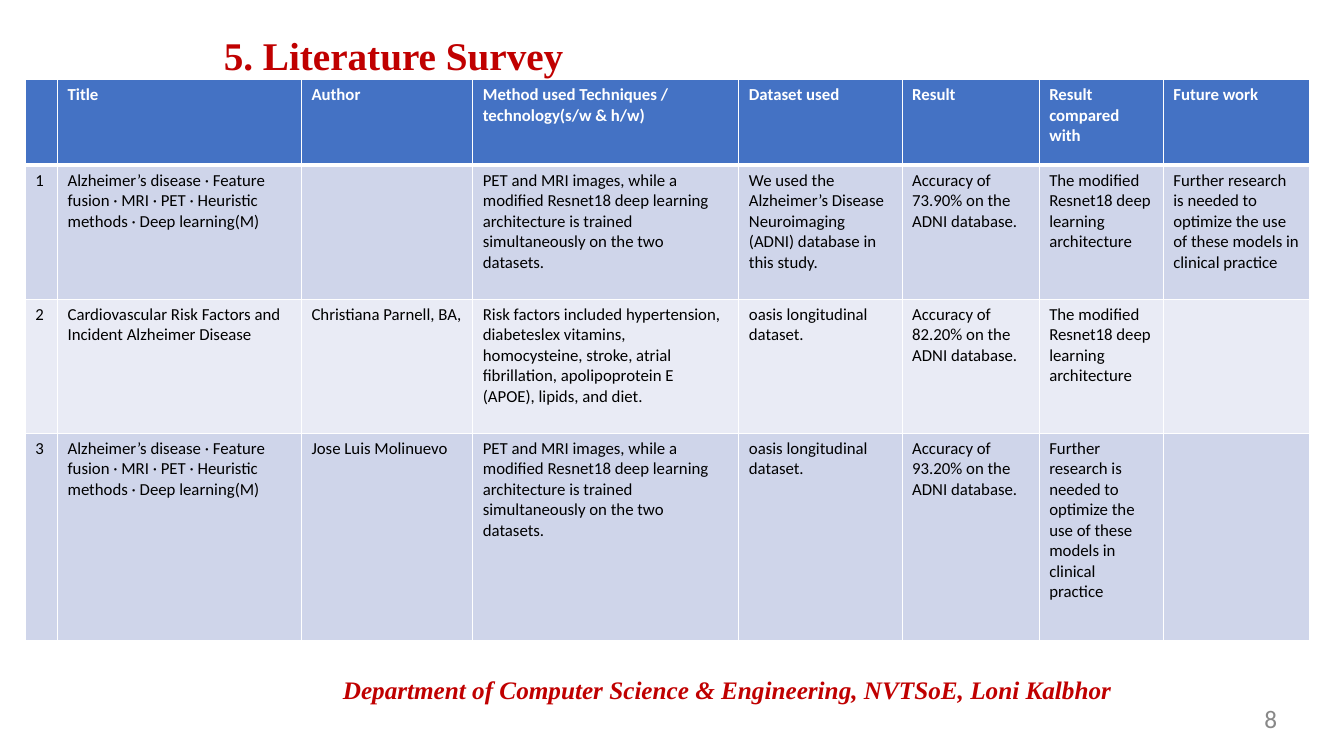
import pptx
import pptx.dml.color
import pptx.enum.text
import pptx.oxml
import pptx.oxml.ns
import pptx.util

RGBColor = pptx.dml.color.RGBColor
Align = pptx.enum.text.PP_ALIGN
Anchor = pptx.enum.text.MSO_ANCHOR

CRIMSON = RGBColor(0xC0, 0x00, 0x00)
GREY = RGBColor(0x88, 0x88, 0x88)
WHITE = RGBColor(0xFF, 0xFF, 0xFF)
BLACK = RGBColor(0x00, 0x00, 0x00)
HEADER_BLUE = RGBColor(0x44, 0x72, 0xC4)
BAND_DARK = RGBColor(0xCF, 0xD5, 0xEA)
BAND_LIGHT = RGBColor(0xE9, 0xEB, 0xF5)

COLUMN_SHARES = [2.4, 18.15, 12.75, 19.8, 12.15, 10.2, 9.23, 10.88]
ROW_SHARES = [11.33, 17.73, 17.73, 27.47]

KEYWORDS = "Alzheimer’s disease · Feature fusion · MRI · PET · Heuristic methods · Deep learning(M)"
IMAGING_METHOD = (
    "PET and MRI images, while a modified Resnet18 deep learning architecture "
    "is trained simultaneously on the two datasets."
)
RISK_METHOD = (
    "Risk factors included hypertension, diabeteslex vitamins, homocysteine, stroke, "
    "atrial fibrillation, apolipoprotein E (APOE), lipids, and diet."
)
ADNI_DATASET = "We used the Alzheimer’s Disease Neuroimaging (ADNI) database in this study."
OASIS_DATASET = "oasis longitudinal dataset."
RESNET = "The modified Resnet18 deep learning architecture"
FURTHER_RESEARCH = (
    "Further research is needed to optimize the use of these models in clinical practice"
)
HEADINGS = [
    "", "Title", "Author", "Method used Techniques / technology(s/w & h/w)",
    "Dataset used", "Result", "Result compared with", "Future work",
]
STUDIES = [
    [KEYWORDS, "", IMAGING_METHOD, ADNI_DATASET, "73.90%", RESNET, FURTHER_RESEARCH],
    ["Cardiovascular Risk Factors and Incident Alzheimer Disease", "Christiana Parnell, BA,",
     RISK_METHOD, OASIS_DATASET, "82.20%", RESNET, ""],
    [KEYWORDS, "Jose Luis Molinuevo", IMAGING_METHOD, OASIS_DATASET, "93.20%",
     FURTHER_RESEARCH, ""],
]


class SurveySlide:
    serif = "Times New Roman"
    sans = "Calibri"

    def __init__(self, deck):
        self.deck = deck
        self.slide = deck.slides.add_slide(deck.slide_layouts[5])

    def across(self, share):
        return round(self.deck.slide_width * share / 100)

    def down(self, share):
        return round(self.deck.slide_height * share / 100)

    def area(self, left, top, width, height):
        return self.across(left), self.down(top), self.across(width), self.down(height)

    def add_words(self, paragraph, words, font, size, color, bold=False, italic=False):
        run = paragraph.add_run()
        run.text = words
        run.font.name = font
        run.font.size = pptx.util.Pt(size)
        run.font.color.rgb = color
        run.font.bold = bold
        run.font.italic = italic

    def title(self, words, *shares):
        heading = self.slide.shapes.title
        heading.left, heading.top, heading.width, heading.height = self.area(*shares)
        frame = heading.text_frame
        frame.auto_size = pptx.enum.text.MSO_AUTO_SIZE.NONE
        frame.vertical_anchor = Anchor.MIDDLE
        frame.paragraphs[0].alignment = Align.LEFT
        self.add_words(frame.paragraphs[0], words, self.serif, 28, CRIMSON, bold=True)

    def label(self, words, shares, align, font, color, emphasis=False):
        frame = self.slide.shapes.add_textbox(*self.area(*shares)).text_frame
        frame.word_wrap = True
        frame.margin_left = frame.margin_right = frame.margin_top = frame.margin_bottom = 0
        frame.paragraphs[0].alignment = align
        self.add_words(frame.paragraphs[0], words, font, 18, color, emphasis, emphasis)

    def borders(self, cell, widths):
        properties = cell._tc.get_or_add_tcPr()
        for position, (side, points) in enumerate(widths.items()):
            line = pptx.oxml.parse_xml(
                f'<a:ln{side} {pptx.oxml.ns.nsdecls("a")} w="{pptx.util.Pt(points)}">'
                f'<a:solidFill><a:srgbClr val="{WHITE}"/></a:solidFill></a:ln{side}>'
            )
            properties.insert(position, line)

    def table(self, rows, left, top):
        shares = (left, top, sum(COLUMN_SHARES), sum(ROW_SHARES))
        survey = self.slide.shapes.add_table(
            len(rows), len(COLUMN_SHARES), *self.area(*shares)
        ).table
        for column, share in zip(survey.columns, COLUMN_SHARES):
            column.width = self.across(share)
        for row, share in zip(survey.rows, ROW_SHARES):
            row.height = self.down(share)
        for number, entries in enumerate(rows):
            header = number == 0
            band = HEADER_BLUE if header else BAND_DARK if number % 2 else BAND_LIGHT
            widths = {"L": 1, "R": 1, "T": 3 if number == 1 else 1, "B": 3 if header else 1}
            for place, entry in enumerate(entries):
                cell = survey.cell(number, place)
                cell.fill.solid()
                cell.fill.fore_color.rgb = band
                self.borders(cell, widths)
                if entry:
                    self.add_words(cell.text_frame.paragraphs[0], entry, self.sans, 12,
                                   WHITE if header else BLACK, bold=header)


def main():
    deck = pptx.Presentation()
    deck.slide_width = pptx.util.Inches(13.33)
    deck.slide_height = pptx.util.Inches(7.5)
    page = SurveySlide(deck)
    page.label("8", (72, 93.07, 23.03, 4), Align.RIGHT, page.sans, GREY)
    page.title("5. Literature Survey", 15.9, 3.07, 65.7, 8.4)
    page.label("Department of Computer Science & Engineering, NVTSoE, Loni Kalbhor",
               (23.85, 89.2, 60.53, 9.8), Align.CENTER, page.serif, CRIMSON, emphasis=True)
    rows = [HEADINGS]
    for number, (topic, author, method, dataset, accuracy, baseline, future) in enumerate(STUDIES, 1):
        result = f"Accuracy of {accuracy} on the ADNI database."
        rows.append([str(number), topic, author, method, dataset, result, baseline, future])
    page.table(rows, 1.88, 10.53)
    deck.save("out.pptx")


if __name__ == "__main__":
    main()
